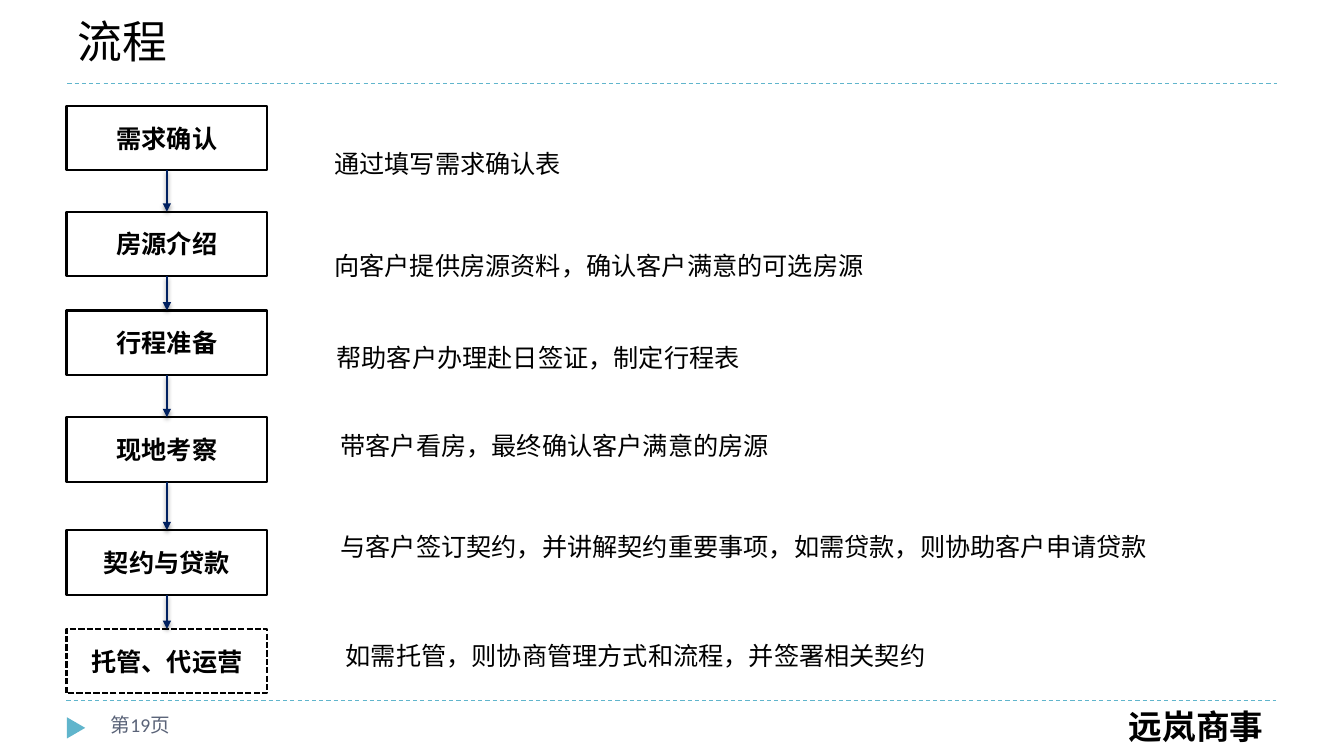
from lxml.etree import SubElement
from pptx import Presentation
from pptx.dml.color import RGBColor
from pptx.enum.dml import MSO_LINE
from pptx.enum.shapes import MSO_CONNECTOR, MSO_SHAPE
from pptx.enum.text import MSO_ANCHOR, PP_ALIGN
from pptx.oxml import parse_xml
from pptx.oxml.ns import nsdecls, qn
from pptx.util import Pt

SANS_JP = "Noto Sans CJK JP"
SANS_SC = "Noto Sans CJK SC"


def color(value):
    return RGBColor.from_string(value)


def write(shape, text, size, font, east_asian, ink="000000", bold=False,
          align=PP_ALIGN.LEFT, anchor=MSO_ANCHOR.TOP):
    frame = shape.text_frame
    frame.word_wrap = True
    frame.vertical_anchor = anchor
    para = frame.paragraphs[0]
    para.alignment = align
    span = para.add_run()
    span.text = text
    span.font.name = font
    span.font.size = Pt(size)
    span.font.bold = bold
    span.font.color.rgb = color(ink)
    SubElement(span.font._element, qn("a:ea")).set("typeface", east_asian)


deck = Presentation()
deck.slide_width = Pt(960)
deck.slide_height = Pt(540)
page = deck.slides.add_slide(deck.slide_layouts[6])
shapes = page.shapes

marker = shapes.add_shape(MSO_SHAPE.ISOSCELES_TRIANGLE, Pt(46.8), Pt(513.4), Pt(15.1), Pt(13))
marker.rotation = 90
marker.shadow.inherit = False
marker.fill.solid()
marker.fill.fore_color.rgb = color("60B5CC")
marker.line.fill.background()

for left, top in [(47.5, 500.4), (48.2, 59.9)]:
    rule = shapes.add_connector(MSO_CONNECTOR.STRAIGHT, Pt(left), Pt(top), Pt(left + 864), Pt(top))
    rule.line.color.rgb = color("60B5CC")
    rule.line.width = Pt(0.75)
    rule.line.dash_style = MSO_LINE.DASH
    SubElement(rule._element.spPr, qn("a:effectLst"))

company = shapes.add_textbox(Pt(252), Pt(500.4), Pt(657.4), Pt(36))
write(company, "远岚商事", 24, SANS_SC, SANS_SC, bold=True, align=PP_ALIGN.RIGHT)

page_number = shapes.add_textbox(Pt(72), Pt(505.4), Pt(160), Pt(28.8))
write(page_number, "第19页", 14, "Calibri", SANS_SC, ink="5A6378")

title = shapes.add_textbox(Pt(48.2), Pt(5.8), Pt(863.3), Pt(46))
write(title, "流程", 32, "Roboto Slab", SANS_SC, anchor=MSO_ANCHOR.MIDDLE)

steps = [
    ("需求确认", 75.6, "通过填写需求确认表", 231.8, 102.2),
    ("房源介绍", 151.2, "向客户提供房源资料，确认客户满意的可选房源", 231.8, 175),
    ("行程准备", 221.8, "帮助客户办理赴日签证，制定行程表", 233.3, 241.2),
    ("现地考察", 298, "带客户看房，最终确认客户满意的房源", 236.2, 303.8),
    ("契约与贷款", 378.7, "与客户签订契约，并讲解契约重要事项，如需贷款，则协助客户申请贷款", 236.2, 375.8),
    ("托管、代运营", 449.3, "如需托管，则协商管理方式和流程，并签署相关契约", 239.8, 453.6),
]

boxes = []
for name, top, description, note_left, note_top in steps:
    box = shapes.add_shape(MSO_SHAPE.RECTANGLE, Pt(47.5), Pt(top), Pt(143.5), Pt(46))
    box.shadow.inherit = False
    box.fill.solid()
    box.fill.fore_color.rgb = color("FFFFFF")
    box.line.color.rgb = color("000000")
    box.line.width = Pt(1.5)
    write(box, name, 18, SANS_JP, SANS_JP, bold=True,
          align=PP_ALIGN.CENTER, anchor=MSO_ANCHOR.MIDDLE)
    boxes.append(box)

    note = shapes.add_textbox(Pt(note_left), Pt(note_top), Pt(679.7), Pt(28.8))
    note.fill.solid()
    note.fill.fore_color.rgb = color("FFFFFF")
    write(note, description, 18, SANS_JP, SANS_JP)

boxes[-1].line.dash_style = MSO_LINE.SQUARE_DOT

for upper, lower in zip(boxes, boxes[1:]):
    arrow = shapes.add_connector(MSO_CONNECTOR.STRAIGHT, 0, 0, 0, 0)
    arrow.begin_connect(upper, 2)
    arrow.end_connect(lower, 0)
    arrow.line.color.rgb = color("002060")
    arrow.line.width = Pt(1.5)
    SubElement(arrow.line._get_or_add_ln(), qn("a:tailEnd")).set("type", "triangle")
    arrow._element.spPr.append(parse_xml(
        f'<a:effectLst {nsdecls("a")}>'
        f'<a:outerShdw blurRad="{Pt(3)}" dist="{Pt(2)}" dir="5400000" rotWithShape="0">'
        '<a:srgbClr val="000000"><a:alpha val="40000"/></a:srgbClr>'
        '</a:outerShdw></a:effectLst>'))

deck.save("out.pptx")
